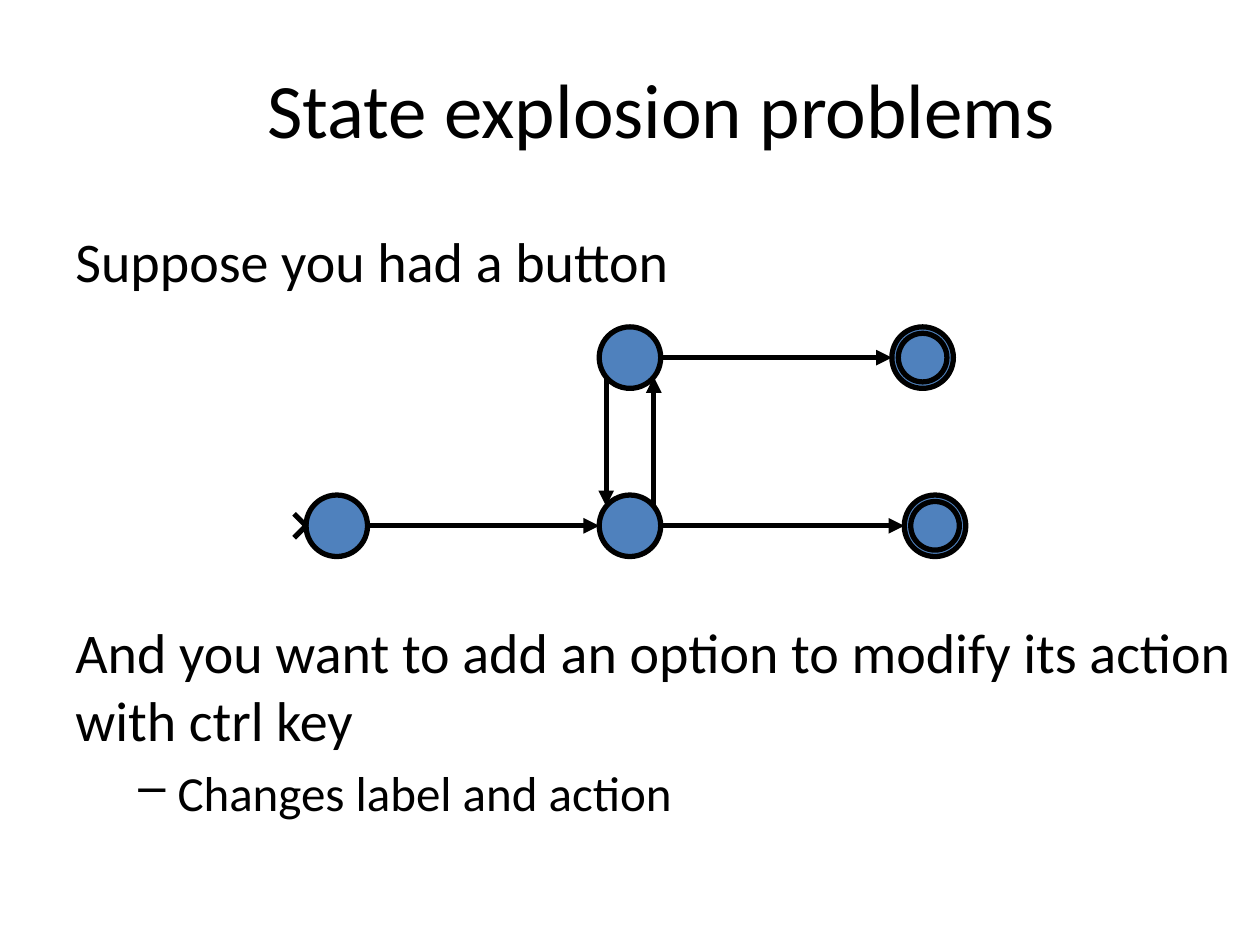
import math
from dataclasses import dataclass

import lxml.etree
import pptx
import pptx.dml.color
import pptx.enum.shapes
import pptx.enum.text
import pptx.oxml.ns
import pptx.util

Cm = pptx.util.Cm
Pt = pptx.util.Pt
qn = pptx.oxml.ns.qn


@dataclass(frozen=True)
class Theme:
    font: str = "Calibri"
    ink: str = "000000"
    node: str = "4F81BD"
    title_size: float = 44
    body_size: float = 32
    detail_size: float = 28
    stroke: float = 3


def write_text(paragraph, text, *, theme, size, align=None, before=0, spacing=None, dash=None):
    run = paragraph.add_run()
    run.text = text
    run.font.name = theme.font
    run.font.size = Pt(size)
    run.font.color.rgb = pptx.dml.color.RGBColor.from_string(theme.ink)
    paragraph.alignment = align
    paragraph.space_before = Pt(before)
    paragraph.line_spacing = spacing
    if dash:
        margin, indent = dash
        properties = paragraph._p.get_or_add_pPr()
        properties.set("marL", str(Cm(margin)))
        properties.set("indent", str(Cm(indent)))
        lxml.etree.SubElement(properties, qn("a:buChar"), char="–")


class StateSlide:
    def __init__(self, slide, theme):
        self.slide = slide
        self.theme = theme

    def text_box(self, left, top, width, height, paragraphs, anchor):
        shape = self.slide.shapes.add_textbox(Cm(left), Cm(top), Cm(width), Cm(height))
        frame = shape.text_frame
        frame.word_wrap = True
        frame.vertical_anchor = anchor
        for index, (text, style) in enumerate(paragraphs):
            paragraph = frame.add_paragraph() if index else frame.paragraphs[0]
            write_text(paragraph, text, theme=self.theme, **style)

    def outline(self, shape):
        shape.line.color.rgb = pptx.dml.color.RGBColor.from_string(self.theme.ink)
        shape.line.width = Pt(self.theme.stroke)

    def circle(self, center, radius):
        x, y = center
        shape = self.slide.shapes.add_shape(
            pptx.enum.shapes.MSO_SHAPE.OVAL,
            Cm(x - radius), Cm(y - radius), Cm(2 * radius), Cm(2 * radius))
        shape.shadow.inherit = False
        shape.fill.solid()
        shape.fill.fore_color.rgb = pptx.dml.color.RGBColor.from_string(self.theme.node)
        self.outline(shape)

    def arrow(self, start, end):
        connector = self.slide.shapes.add_connector(
            pptx.enum.shapes.MSO_CONNECTOR.STRAIGHT, *map(Cm, (*start, *end)))
        self.outline(connector)
        lxml.etree.SubElement(connector.line._get_or_add_ln(), qn("a:tailEnd"), type="triangle")
        lxml.etree.SubElement(connector._element.spPr, qn("a:effectLst"))

    def start_mark(self, tip, size):
        x, y = tip
        builder = self.slide.shapes.build_freeform(Cm(x - size), Cm(y - size))
        builder.add_line_segments([(Cm(x), Cm(y)), (Cm(x - size), Cm(y + size))], close=False)
        shape = builder.convert_to_shape()
        shape.shadow.inherit = False
        shape.fill.background()
        self.outline(shape)


def build():
    """Build the state machine slide and save it."""
    presentation = pptx.Presentation()
    presentation.slide_width = Cm(25.4)
    presentation.slide_height = Cm(19.05)
    theme = Theme()
    page = StateSlide(presentation.slides.add_slide(presentation.slide_layouts[6]), theme)
    anchors = pptx.enum.text.MSO_ANCHOR

    title_style = dict(size=theme.title_size, align=pptx.enum.text.PP_ALIGN.CENTER, spacing=0.8)
    page.text_box(1.27, 0.76, 24.13, 3.18,
                  [("State explosion problems", title_style)], anchors.MIDDLE)
    page.text_box(1.27, 4.45, 24.13, 13.97, [
        ("Suppose you had a button", dict(size=theme.body_size)),
        ("And you want to add an option to modify its action with ctrl key",
         dict(size=theme.body_size, before=185)),
        ("Changes label and action",
         dict(size=theme.detail_size, before=5.6, dash=(2.06, -0.79))),
    ], anchors.TOP)

    radius, inner_radius, lane = 0.62, 0.49, 0.48
    reach = math.sqrt(radius ** 2 - lane ** 2)
    upper, lower = 7.21, 10.6
    start, middle = 6.79, 12.7
    upper_end, lower_end = 18.6, 18.85

    for center in [(start, lower), (middle, lower), (middle, upper)]:
        page.circle(center, radius)
    for center in [(upper_end, upper), (lower_end, lower)]:
        page.circle(center, radius)
        page.circle(center, inner_radius)
    page.start_mark((start - radius, lower), 0.24)

    for left, right, y in [(start, middle, lower), (middle, lower_end, lower),
                           (middle, upper_end, upper)]:
        page.arrow((left + radius, y), (right - radius, y))
    page.arrow((middle - lane, upper + reach), (middle - lane, lower - reach))
    page.arrow((middle + lane, lower - reach), (middle + lane, upper + reach))

    presentation.save("out.pptx")


build()
